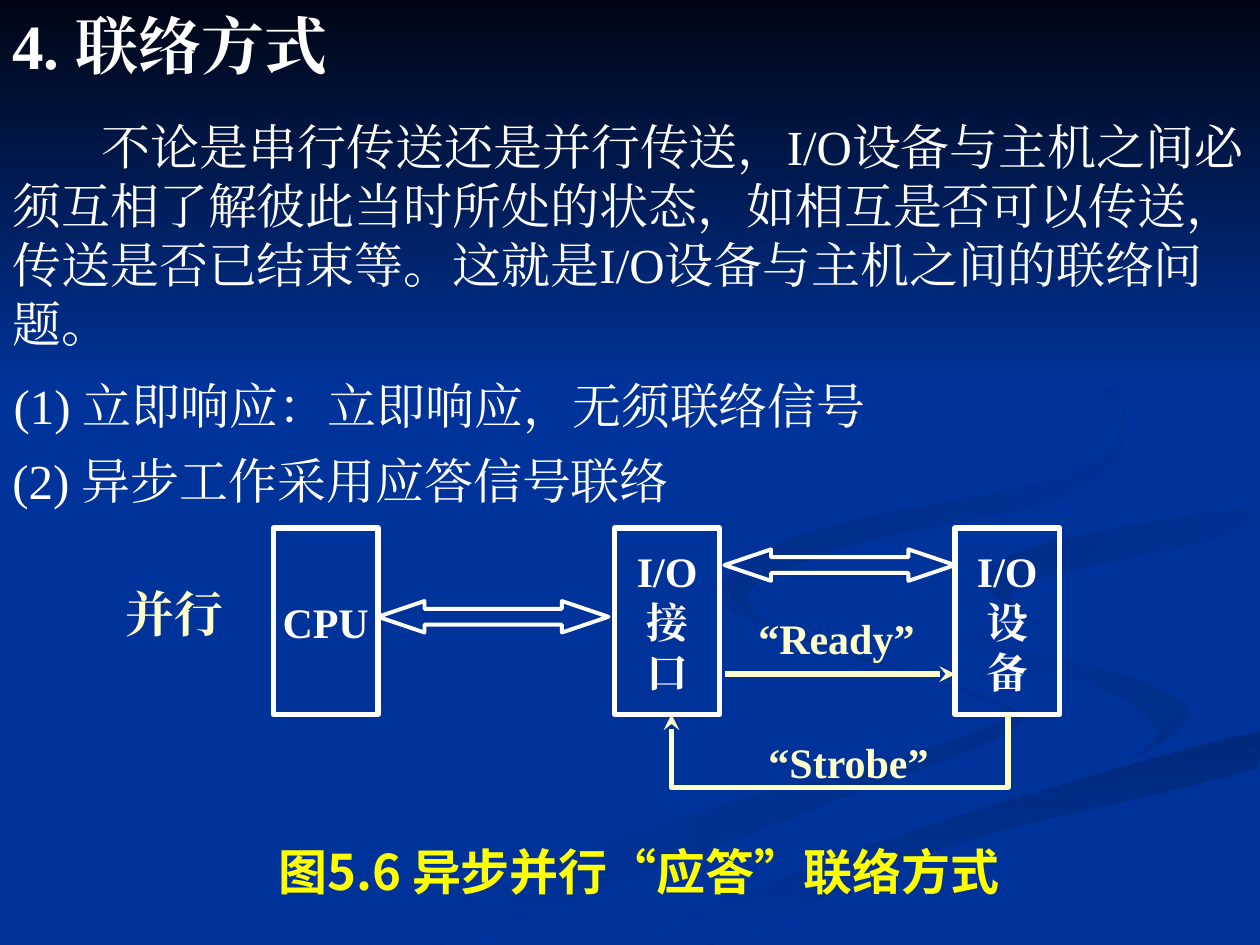
from lxml.etree import SubElement
from pptx import Presentation
from pptx.dml.color import RGBColor
from pptx.enum.shapes import MSO_CONNECTOR, MSO_SHAPE
from pptx.enum.text import MSO_ANCHOR, PP_ALIGN
from pptx.oxml.ns import qn
from pptx.util import Inches, Pt

WIDTH, HEIGHT = 10, 7.5
BLUE, WHITE, CREAM, YELLOW = "003399", "FFFFFF", "FFFFCC", "FFFF00"
SERIF, SANS = "Times New Roman", "Noto Sans CJK SC"

# Background ribbons: first colour, last colour, clockwise angle, points on a smooth outline
RIBBONS = [
    ("002E8A", BLUE, 180, [(5.74, 4.6), (6.3, 5.05), (7.81, 5.53), (8, 5.81), (6.5, 6.4),
                           (3.6, 7.49), (3, 7.49), (5, 6.61), (7.8, 5.79), (7.6, 5.47),
                           (5.9, 4.9)]),
    ("002E8A", BLUE, 225, [(7.24, 4.64), (7.7, 5.03), (9.05, 5.4), (9.43, 5.7), (8.94, 6.05),
                           (9.18, 5.81), (8.8, 5.49), (7.55, 5.05)]),
    ("00297C", BLUE, 90, [(5.03, 7.49), (5.7, 7.49), (7.5, 6.72), (9.98, 6.09), (9.98, 5.81),
                          (7.64, 6.47), (6, 7.06)]),
    (BLUE, "002C85", 225, [(7.81, 4.6), (8.26, 4.96), (8.1, 4.64), (9.98, 4.2), (9.98, 4.02),
                           (8.35, 4.3)]),
    (BLUE, "002B81", 225, [(7.62, 2.33), (8.64, 2.91), (8.94, 3.44), (8.41, 3.96), (6.83, 4.3),
                           (5.93, 4.7), (6.22, 5), (5.77, 4.62), (6.5, 4.2), (8.42, 3.78),
                           (8.89, 3.35), (8.46, 2.79)]),
]
BAND = ("000514", BLUE, 90, [(0, 0), (0, 3.08), (WIDTH, 3.08), (WIDTH, 0)])

# Text: words, (left, top, width, height), size, bold, colour, first-line indent
BODY = ("不论是串行传送还是并行传送，I/O设备与主机之间必须互相了解彼此当时所处的状态，"
        "如相互是否可以传送，传送是否已结束等。这就是I/O设备与主机之间的联络问题。")
TEXTS = [
    ("4. 联络方式", (0, 0, 2.95, 0.7), 36, True, WHITE, 0),
    (BODY, (0, 0.88, WIDTH, 1.97), 28, False, WHITE, 0.71),
    ("(1) 立即响应：立即响应，无须联络信号", (0.01, 2.93, 7.14, 0.57), 28, False, WHITE, 0),
    ("(2) 异步工作采用应答信号联络", (0, 3.53, 5.75, 0.57), 28, False, WHITE, 0),
    ("并行", (0.9, 4.58, 1.15, 0.57), 28, True, CREAM, 0),
    ("“Ready”", (5.92, 4.81, 1.44, 0.5), 24, True, CREAM, 0),
    ("“Strobe”", (6, 5.8, 1.48, 0.5), 24, True, CREAM, 0),
]
CAPTION = "图5.6 异步并行“应答”联络方式"

# Diagram: left edge of each unit and its lines of text
UNITS = [(2.17, "CPU"), (4.88, "I/O\n接\n口"), (7.58, "I/O\n设\n备")]
UNIT_TOP, UNIT_WIDTH, UNIT_HEIGHT = 4.19, 0.83, 1.48
BUSES = [(3, 4.77), (5.75, 4.36)]

deck = Presentation()
deck.slide_width, deck.slide_height = Inches(WIDTH), Inches(HEIGHT)
page = deck.slides.add_slide(deck.slide_layouts[6])
shapes = page.shapes


def color(value):
    return RGBColor.from_string(value)


def area(*lengths):
    return [Inches(length) for length in lengths]


def set_line(shape, value, width, arrow=False):
    shape.line.color.rgb = color(value)
    shape.line.width = Pt(width)
    if arrow:
        SubElement(shape.line._get_or_add_ln(), qn("a:tailEnd"), type="stealth")


def smooth(points, steps=6):
    """Points along a closed Catmull-Rom curve, kept on the slide."""
    curve = []
    for i, b in enumerate(points):
        a, c, d = (points[(i + k) % len(points)] for k in (-1, 1, 2))
        for t in (step / steps for step in range(steps)):
            x, y = (q + t / 2 * (r - p + t * (2 * p - 5 * q + 4 * r - s
                                              + t * (3 * (q - r) + s - p)))
                    for p, q, r, s in zip(a, b, c, d))
            curve.append((min(x, WIDTH), min(y, HEIGHT)))
    return curve


def outline(points, close):
    start, *rest = [area(*point) for point in points]
    builder = shapes.build_freeform(*start)
    builder.add_line_segments(rest, close=close)
    shape = builder.convert_to_shape()
    shape.shadow.inherit = False
    return shape


def shade(first, last, angle, points):
    shape = outline(points, True)
    shape.line.fill.background()
    shape.fill.gradient()
    shape.fill.gradient_angle = 360 - angle
    for stop, value in zip(shape.fill.gradient_stops, (first, last)):
        stop.color.rgb = color(value)


def hollow(kind, place, width):
    shape = shapes.add_shape(kind, *area(*place))
    shape.shadow.inherit = False
    shape.fill.background()
    set_line(shape, WHITE, width)
    return shape


def write(frame, words, size, bold, value, font=SERIF, align=PP_ALIGN.LEFT, indent=0):
    frame.text = words
    for para in frame.paragraphs:
        para.alignment = align
        para.line_spacing = Pt(size * 1.2)
        if indent:
            para._p.get_or_add_pPr().set("indent", str(Inches(indent)))
        for span in para.runs:
            span.font.name, span.font.size, span.font.bold = font, Pt(size), bold
            span.font.color.rgb = color(value)
            SubElement(span._r.get_or_add_rPr(), qn("a:ea"), typeface=font)


def text_box(words, place, *style, **options):
    box = shapes.add_textbox(*area(*place))
    box.text_frame.word_wrap = len(words) > 8
    write(box.text_frame, words, *style, **options)


# Background
page.background.fill.solid()
page.background.fill.fore_color.rgb = color(BLUE)
for *tones, points in RIBBONS:
    shade(*tones, smooth(points))
shade(*BAND)

# Headings, body and labels
for words, place, size, bold, value, indent in TEXTS:
    text_box(words, place, size, bold, value, indent=indent)
text_box(CAPTION, (1.44, 6.63, 7.26, 0.57), 28, True, YELLOW,
         font=SANS, align=PP_ALIGN.CENTER)

# Units
for left, words in UNITS:
    unit = hollow(MSO_SHAPE.RECTANGLE, (left, UNIT_TOP, UNIT_WIDTH, UNIT_HEIGHT), 3)
    frame = unit.text_frame
    frame.margin_left = frame.margin_right = 0
    frame.word_wrap = False
    frame.vertical_anchor = MSO_ANCHOR.MIDDLE
    write(frame, words, 24, True, WHITE, align=PP_ALIGN.CENTER)

# Two-way buses
for left, top in BUSES:
    bus = hollow(MSO_SHAPE.LEFT_RIGHT_ARROW, (left, top, 1.83, 0.25), 2.25)
    bus.adjustments[0], bus.adjustments[1] = 0.5, 1.48

# Ready and strobe signals
ready = shapes.add_connector(MSO_CONNECTOR.STRAIGHT, *area(5.75, 5.35, 7.58, 5.35))
set_line(ready, CREAM, 3, arrow=True)
SubElement(ready._element.spPr, qn("a:effectLst"))
unit_bottom = UNIT_TOP + UNIT_HEIGHT
strobe = outline([(8, unit_bottom), (8, 6.25), (5.33, 6.25), (5.33, unit_bottom)], False)
strobe.fill.background()
set_line(strobe, CREAM, 3, arrow=True)

deck.save("out.pptx")
